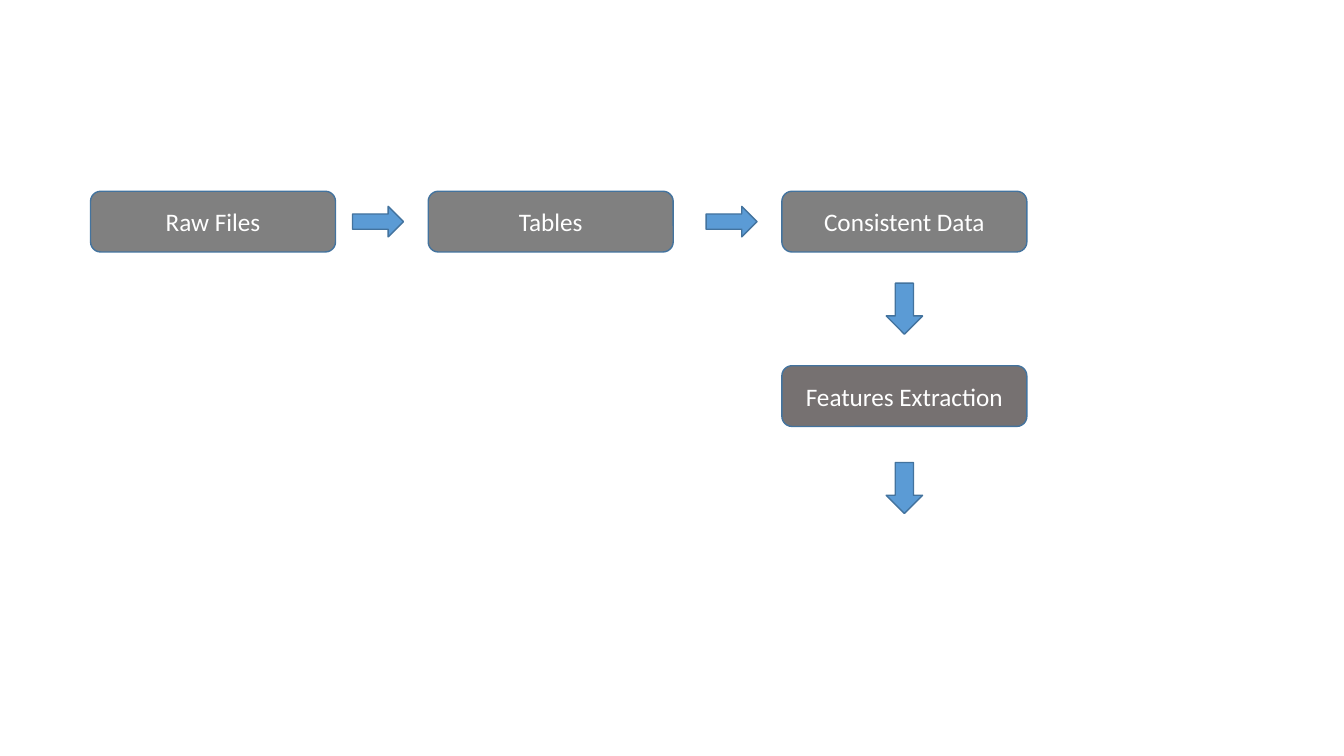
import pptx
import pptx.util
import pptx.dml.color
import pptx.enum.shapes
import pptx.enum.text

Pt = pptx.util.Pt
SHAPES = pptx.enum.shapes.MSO_SHAPE


def color(hex_string):
    return pptx.dml.color.RGBColor.from_string(hex_string)


class FlowSlide:
    """Holds the style and the current slide."""
    font = "Calibri"
    font_size = 18
    text_color = "FFFFFF"
    line_color = "43739E"
    arrow_color = "5B9BD5"
    box_width, box_height = 175, 43.4
    arrow_length = 36.4

    def __init__(self, presentation):
        self.slide = presentation.slides.add_slide(presentation.slide_layouts[6])

    def block(self, kind, center_x, center_y, width, height, fill):
        shape = self.slide.shapes.add_shape(
            kind, Pt(center_x - width / 2), Pt(center_y - height / 2),
            Pt(width), Pt(height))
        shape.shadow.inherit = False
        shape.fill.solid()
        shape.fill.fore_color.rgb = color(fill)
        shape.line.color.rgb = color(self.line_color)
        shape.line.width = Pt(1)
        return shape

    def step(self, text, center_x, center_y, fill):
        shape = self.block(SHAPES.ROUNDED_RECTANGLE, center_x, center_y,
                           self.box_width, self.box_height, fill)
        text_frame = shape.text_frame
        text_frame.text = text
        text_frame.vertical_anchor = pptx.enum.text.MSO_ANCHOR.MIDDLE
        paragraph = text_frame.paragraphs[0]
        paragraph.alignment = pptx.enum.text.PP_ALIGN.CENTER
        font = paragraph.runs[0].font
        font.name = self.font
        font.size = Pt(self.font_size)
        font.color.rgb = color(self.text_color)

    def right_arrow(self, center_x, center_y):
        self.block(SHAPES.RIGHT_ARROW, center_x, center_y,
                   self.arrow_length, 21.8, self.arrow_color)

    def down_arrow(self, center_x, center_y):
        self.block(SHAPES.DOWN_ARROW, center_x, center_y,
                   26, self.arrow_length, self.arrow_color)


presentation = pptx.Presentation()
presentation.slide_width = Pt(960)
presentation.slide_height = Pt(540)
flow = FlowSlide(presentation)

# Data preparation row
row_y = 158.3
last_x = 646
for text, center_x in (("Raw Files", 152.2), ("Tables", 393.4),
                       ("Consistent Data", last_x)):
    flow.step(text, center_x, row_y, "808080")
for center_x in (270, 522.6):
    flow.right_arrow(center_x, row_y)

# Feature extraction column
flow.step("Features Extraction", last_x, 282.9, "767171")
for center_y in (220.5, 348.6):
    flow.down_arrow(last_x, center_y)

presentation.save("out.pptx")
